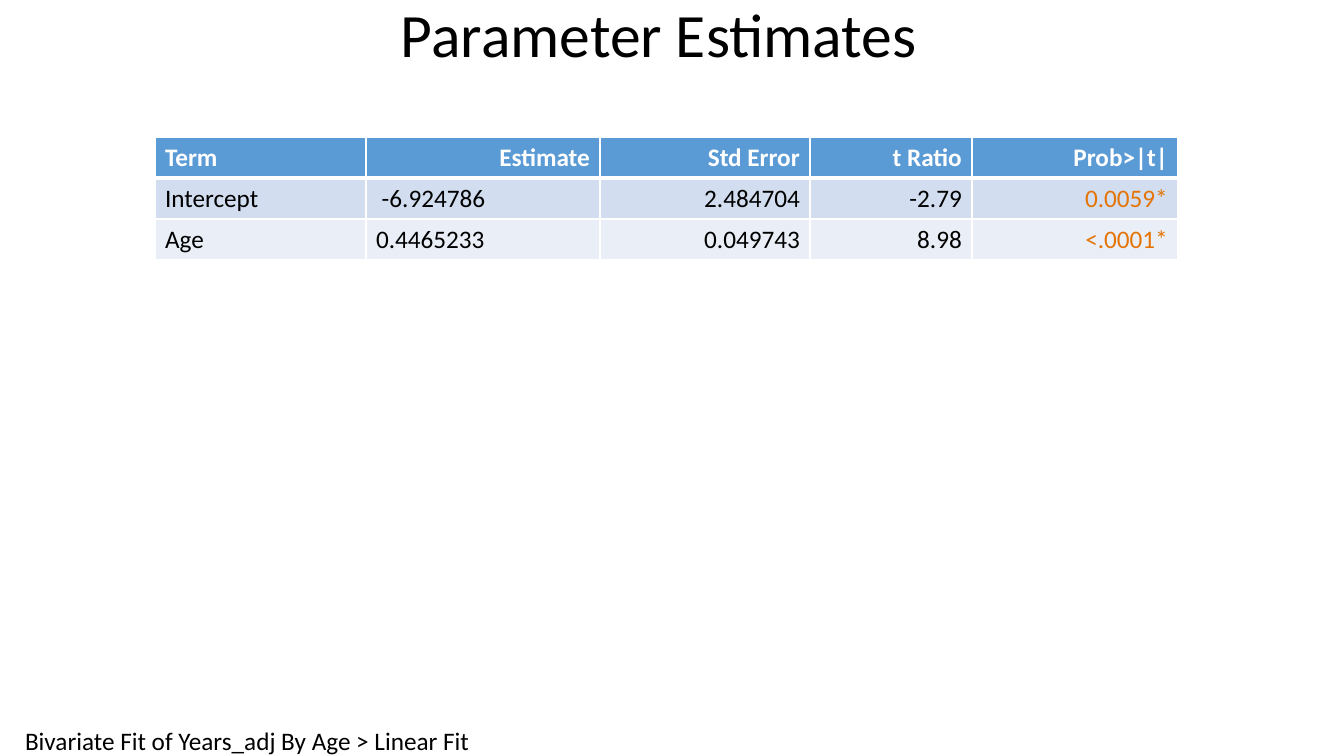
import pptx
import pptx.dml.color
import pptx.enum.text
import pptx.oxml
import pptx.oxml.ns
import pptx.util

EMU_PER_PX = 914400 / 100.8
FONT = "Calibri"
COLORS = {
    "text": "000000",
    "white": "FFFFFF",
    "header": "5B9BD5",
    "odd_row": "D2DEEF",
    "even_row": "EAEFF7",
    "p_value": "E57406",
}
ALIGN = pptx.enum.text.PP_ALIGN
ANCHOR = pptx.enum.text.MSO_ANCHOR

ESTIMATES = [
    ["Term", "Estimate", "Std Error", "t Ratio", "Prob>|t|"],
    ["Intercept", " -6.924786", "2.484704", " -2.79", "0.0059*"],
    ["Age", "0.4465233", "0.049743", "8.98", "<.0001*"],
]
COL_WIDTHS = [211, 234, 210, 162, 206]


def px(n):
    """Turn pixels into EMU."""
    return pptx.util.Emu(round(n * EMU_PER_PX))


def rgb(name):
    """Look up a named colour."""
    return pptx.dml.color.RGBColor.from_string(COLORS[name])


def format_text(tf, size, color="text", bold=False, align=ALIGN.LEFT):
    """Format every paragraph and run of a text frame."""
    for p in tf.paragraphs:
        p.alignment = align
        for r in p.runs:
            r.font.name = FONT
            r.font.size = pptx.util.Pt(size)
            r.font.bold = bold
            r.font.color.rgb = rgb(color)


def add_title(s, box, text):
    """Add the centred slide title."""
    tf = s.shapes.add_textbox(*map(px, box)).text_frame
    tf.word_wrap = True
    tf.vertical_anchor = ANCHOR.MIDDLE
    tf.text = text
    tf.paragraphs[0].line_spacing = 0.9
    format_text(tf, 44, align=ALIGN.CENTER)


def add_caption(s, box, text):
    """Add the source caption, without margins."""
    tf = s.shapes.add_textbox(*map(px, box)).text_frame
    tf.margin_left = tf.margin_top = tf.margin_right = tf.margin_bottom = 0
    tf.word_wrap = False
    tf.text = text
    format_text(tf, 18)


def set_borders(cell, bottom=1, top=1):
    """Give a cell white borders, widths in points."""
    tc_pr = cell._tc.get_or_add_tcPr()
    widths = {"lnL": 1, "lnR": 1, "lnT": top, "lnB": bottom}
    for i, (tag, width) in enumerate(widths.items()):
        ln = pptx.oxml.parse_xml(
            f'<a:{tag} {pptx.oxml.ns.nsdecls("a")} w="{pptx.util.Pt(width)}">'
            f'<a:solidFill><a:srgbClr val="{COLORS["white"]}"/></a:solidFill>'
            f'</a:{tag}>')
        tc_pr.insert(i, ln)


def add_estimates(s, box, rows, widths):
    """Add the table of estimates with a header and banded rows."""
    table = s.shapes.add_table(len(rows), len(widths), *map(px, box)).table
    for col, width in zip(table.columns, widths):
        col.width = px(width)
    fills = ["header", "odd_row", "even_row"]
    for i, values in enumerate(rows):
        head = i == 0
        for j, value in enumerate(values):
            cell = table.cell(i, j)
            cell.text_frame.text = value
            cell.fill.solid()
            cell.fill.fore_color.rgb = rgb(fills[i])
            set_borders(cell, bottom=3 if head else 1, top=3 if i == 1 else 1)
            left = j == 0 or (j == 1 and not head)
            color = "white" if head else "p_value" if j == 4 else "text"
            format_text(cell.text_frame, 18, color, head,
                        ALIGN.LEFT if left else ALIGN.RIGHT)


def build_slide(prs):
    """Build the parameter estimates slide."""
    s = prs.slides.add_slide(prs.slide_layouts[6])
    add_caption(s, (25, 725, 450, 31),
                "Bivariate Fit of Years_adj By Age > Linear Fit")
    add_title(s, (0, 0, 1318, 76), "Parameter Estimates")
    add_estimates(s, (155, 137, sum(COL_WIDTHS), 123), ESTIMATES, COL_WIDTHS)


prs = pptx.Presentation()
prs.slide_width, prs.slide_height = px(1344), px(756)
build_slide(prs)
prs.save("out.pptx")
